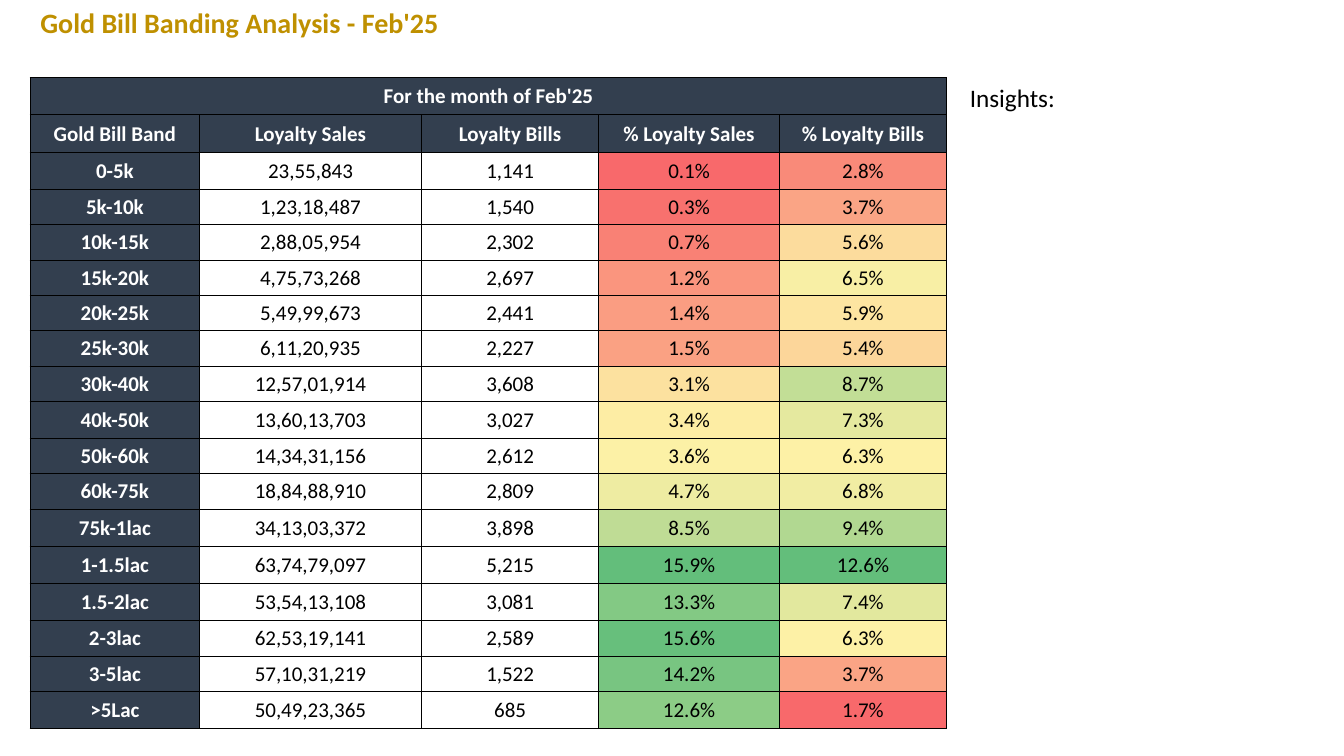
"""Build the gold bill banding slide."""
from dataclasses import dataclass

from lxml import etree
from pptx import Presentation
from pptx.dml.color import RGBColor
from pptx.enum.text import MSO_ANCHOR, MSO_AUTO_SIZE, PP_ALIGN
from pptx.oxml.ns import qn
from pptx.util import Inches, Pt

LEFT, CENTER = PP_ALIGN.LEFT, PP_ALIGN.CENTER
TOP, MIDDLE = MSO_ANCHOR.TOP, MSO_ANCHOR.MIDDLE
GROW = MSO_AUTO_SIZE.SHAPE_TO_FIT_TEXT

HUES = {
    "gold": "BF9000", "navy": "333F4F", "black": "000000", "white": "FFFFFF",
    "low": "F8696B", "mid": "FDF1A6", "high": "63BE7B",
}


@dataclass
class Band:
    name: str
    sales: str
    bills: str
    sales_part: float
    bills_part: float


BANDS = [
    Band("0-5k", "23,55,843", "1,141", 0.1, 2.8),
    Band("5k-10k", "1,23,18,487", "1,540", 0.3, 3.7),
    Band("10k-15k", "2,88,05,954", "2,302", 0.7, 5.6),
    Band("15k-20k", "4,75,73,268", "2,697", 1.2, 6.5),
    Band("20k-25k", "5,49,99,673", "2,441", 1.4, 5.9),
    Band("25k-30k", "6,11,20,935", "2,227", 1.5, 5.4),
    Band("30k-40k", "12,57,01,914", "3,608", 3.1, 8.7),
    Band("40k-50k", "13,60,13,703", "3,027", 3.4, 7.3),
    Band("50k-60k", "14,34,31,156", "2,612", 3.6, 6.3),
    Band("60k-75k", "18,84,88,910", "2,809", 4.7, 6.8),
    Band("75k-1lac", "34,13,03,372", "3,898", 8.5, 9.4),
    Band("1-1.5lac", "63,74,79,097", "5,215", 15.9, 12.6),
    Band("1.5-2lac", "53,54,13,108", "3,081", 13.3, 7.4),
    Band("2-3lac", "62,53,19,141", "2,589", 15.6, 6.3),
    Band("3-5lac", "57,10,31,219", "1,522", 14.2, 3.7),
    Band(">5Lac", "50,49,23,365", "685", 12.6, 1.7),
]
HEADS = ["Gold Bill Band", "Loyalty Sales", "Loyalty Bills",
         "% Loyalty Sales", "% Loyalty Bills"]
WIDTHS = [1.68, 2.2, 1.76, 1.79, 1.66]
TALL_ROWS = {0, 1, 2, 9, 12, 13, 14, 17}
ROWS = len(BANDS) + 2


def write(frame, text: str, size: float, hue: str = "black",
          bold: bool = False, align=LEFT) -> None:
    para = frame.paragraphs[0]
    para.alignment = align
    run = para.add_run()
    run.text = text
    font = run.font
    font.name, font.size, font.bold = "Calibri", Pt(size), bold
    font.color.rgb = RGBColor.from_string(HUES[hue])


def place(shape, left: float, top: float, width: float, height: float) -> None:
    shape.left, shape.top = Inches(left), Inches(top)
    shape.width, shape.height = Inches(width), Inches(height)
    frame = shape.text_frame
    frame.word_wrap, frame.auto_size = True, GROW
    frame.vertical_anchor = TOP


def blend(start: str, end: str, part: float) -> str:
    pairs = zip(bytes.fromhex(HUES[start]), bytes.fromhex(HUES[end]))
    return "".join(f"{round(a + (b - a) * part):02X}" for a, b in pairs)


def shade(value: float, values: list[float]) -> str:
    ranks = sorted(values)
    half = len(ranks) // 2
    mid = (ranks[half - 1] + ranks[half]) / 2
    if value < mid:
        return blend("low", "mid", (value - ranks[0]) / (mid - ranks[0]))
    return blend("mid", "high", (value - mid) / (ranks[-1] - mid))


def edge(cell, row: int, col: int) -> None:
    thick_rows = {0, 1, 2, ROWS} if col == 0 else {0, 1, ROWS}
    thick_cols = {0, 1, 3, 5}
    sides = {"L": col in thick_cols, "R": col + 1 in thick_cols,
             "T": row in thick_rows, "B": row + 1 in thick_rows}
    props = cell._tc.get_or_add_tcPr()
    for side, thick in sides.items():
        line = etree.SubElement(props, qn(f"a:ln{side}"),
                                w=str(Pt(1 if thick else 0.5)))
        fill = etree.SubElement(line, qn("a:solidFill"))
        etree.SubElement(fill, qn("a:srgbClr"), val=HUES["black"])


def fill_cell(table, row: int, col: int, text: str, fill: str = "",
              head: bool = False) -> None:
    cell = table.cell(row, col)
    edge(cell, row, col)
    if fill:
        cell.fill.solid()
        cell.fill.fore_color.rgb = RGBColor.from_string(fill)
    else:
        cell.fill.background()
    cell.margin_left = cell.margin_right = cell.margin_top = Inches(0.01)
    cell.margin_bottom = 0
    cell.vertical_anchor = MIDDLE
    write(cell.text_frame, text, 15, "white" if head else "black", head, CENTER)


def add_bands(slide) -> None:
    shape = slide.shapes.add_table(ROWS, len(HEADS), Inches(0.3), Inches(0.77),
                                   Inches(sum(WIDTHS)), Inches(6.46))
    table = shape.table
    table.first_row = table.horz_banding = False
    for col, width in enumerate(WIDTHS):
        table.columns[col].width = Inches(width)
    for row in range(ROWS):
        table.rows[row].height = Inches(0.37 if row in TALL_ROWS else 0.35)

    navy = HUES["navy"]
    table.cell(0, 0).merge(table.cell(0, len(HEADS) - 1))
    fill_cell(table, 0, 0, "For the month of Feb'25", navy, True)
    for col, text in enumerate(HEADS):
        fill_cell(table, 1, col, text, navy, True)

    sales = [band.sales_part for band in BANDS]
    bills = [band.bills_part for band in BANDS]
    for row, band in enumerate(BANDS, 2):
        fill_cell(table, row, 0, band.name, navy, True)
        fill_cell(table, row, 1, band.sales)
        fill_cell(table, row, 2, band.bills)
        for col, value, values in ((3, band.sales_part, sales),
                                   (4, band.bills_part, bills)):
            fill_cell(table, row, col, f"{value:.1f}%", shade(value, values))


def main() -> None:
    deck = Presentation()
    deck.slide_width, deck.slide_height = Inches(13.33), Inches(7.5)
    slide = deck.slides.add_slide(deck.slide_layouts[5])
    title = slide.shapes.title
    place(title, 0.3, 0, 12.73, 0.44)
    write(title.text_frame, "Gold Bill Banding Analysis - Feb'25", 20, "gold", True)
    notes = slide.shapes.add_textbox(0, 0, 0, 0)
    place(notes, 9.52, 0.77, 3.63, 0.4)
    write(notes.text_frame, "Insights:", 18)
    add_bands(slide)
    deck.save("out.pptx")


if __name__ == "__main__":
    main()
